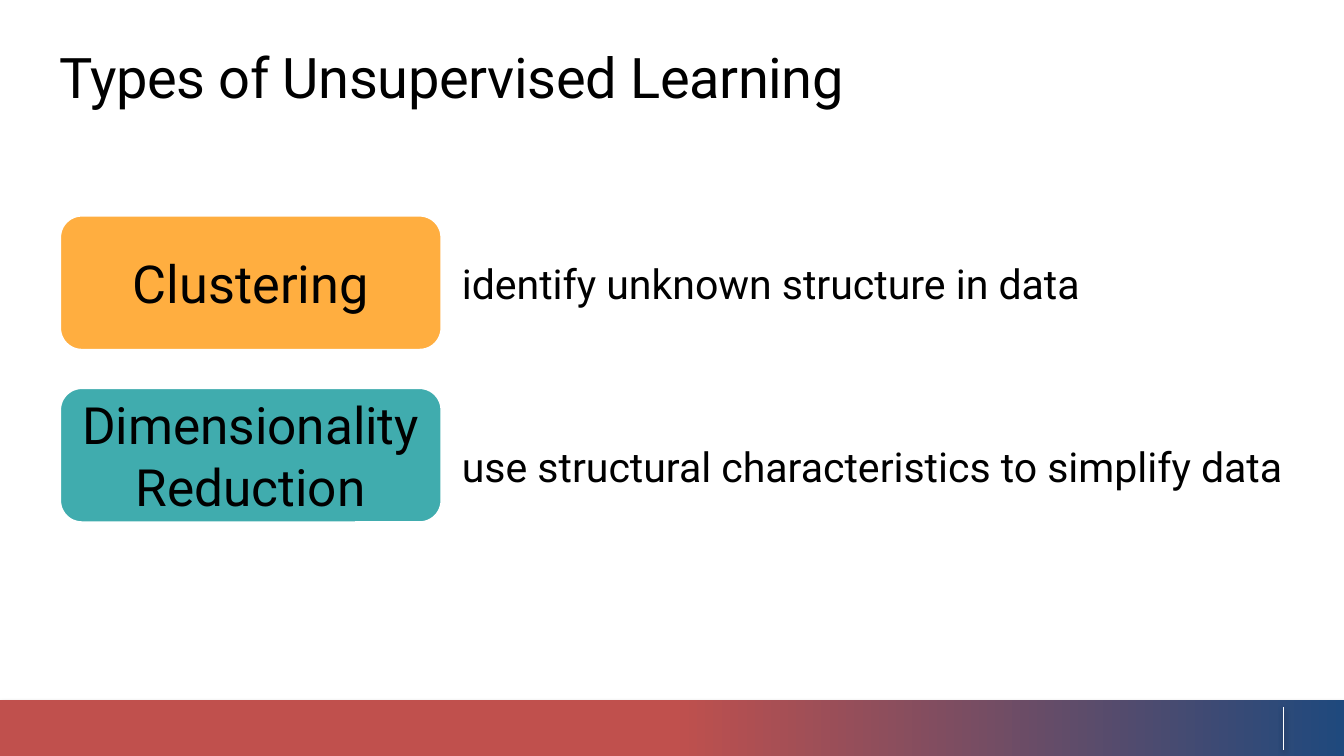
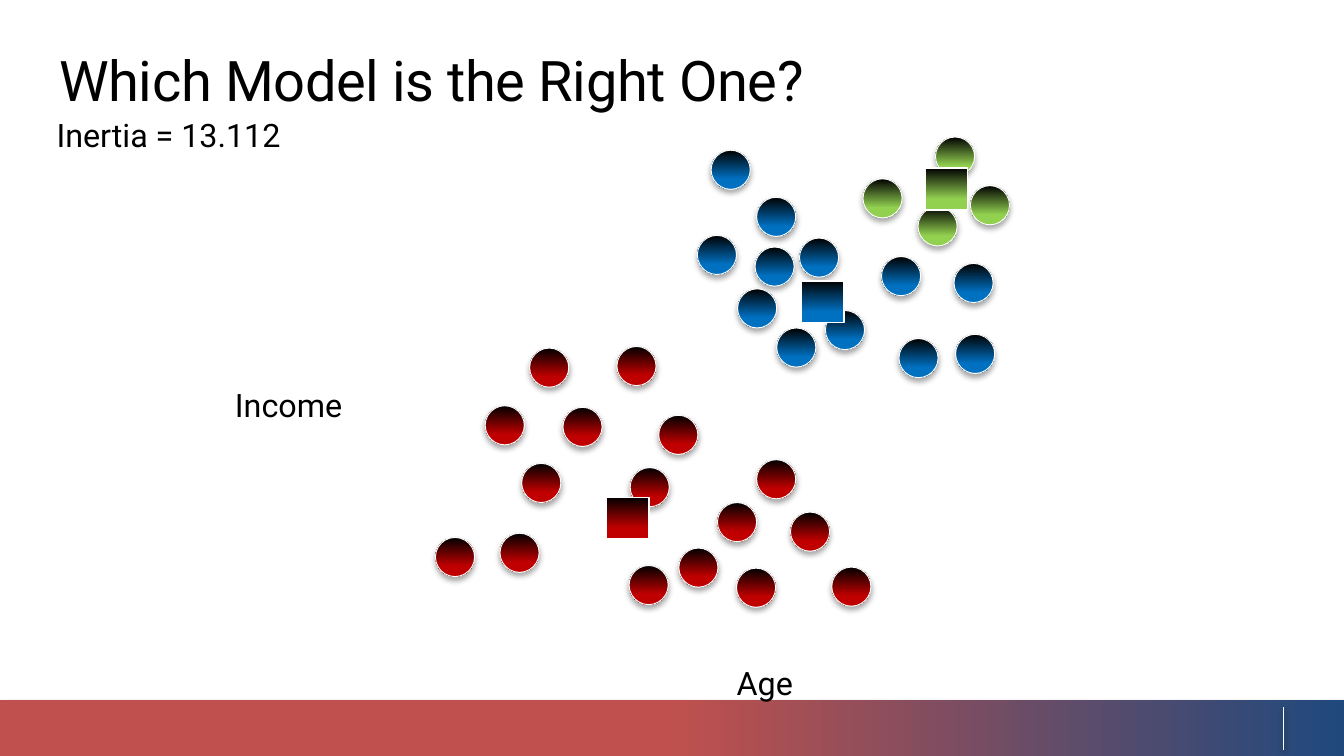
from lxml import etree
from pptx import Presentation
from pptx.dml.color import RGBColor
from pptx.enum.shapes import MSO_CONNECTOR, MSO_SHAPE
from pptx.enum.text import MSO_ANCHOR, PP_ALIGN
from pptx.oxml.ns import qn
from pptx.util import Cm, Pt

WHITE = RGBColor(0xFF, 0xFF, 0xFF)
BLACK = RGBColor(0x00, 0x00, 0x00)
NAVY = RGBColor(0x1F, 0x49, 0x7D)
BRICK = RGBColor(0xC0, 0x50, 0x4D)
ORANGE = RGBColor(0xFF, 0x93, 0x00)
TEAL = RGBColor(0x00, 0x91, 0x93)
BLUE = RGBColor(0x00, 0x70, 0xC0)
GREEN = RGBColor(0x92, 0xD0, 0x50)
RED = RGBColor(0xC0, 0x00, 0x00)

RECT = MSO_SHAPE.RECTANGLE
ROUND = MSO_SHAPE.ROUNDED_RECTANGLE
OVAL = MSO_SHAPE.OVAL
STRAIGHT = MSO_CONNECTOR.STRAIGHT
LEFT, CENTER = PP_ALIGN.LEFT, PP_ALIGN.CENTER
TOP, MIDDLE = MSO_ANCHOR.TOP, MSO_ANCHOR.MIDDLE

FONT = "Roboto"
WIDTH, HEIGHT = 25.4, 14.29
MARGIN = 1.12
BAND = 13.23
DOT = 0.74

CARDS = [
    ("Clustering", ORANGE, 28, "identify unknown structure in data", 0.23),
    ("Dimensionality Reduction", TEAL, 27.5,
     "use structural characteristics to simplify data", 0.43),
]

GROUPS = [
    (BLUE, (15.14, 5.31), [
        (13.44, 2.84), (13.18, 4.45), (14.3, 3.73), (14.27, 4.67),
        (13.94, 5.46), (15.11, 4.5), (15.6, 5.87), (14.68, 6.2),
        (16.99, 6.4), (18.06, 6.32), (18.03, 4.98), (16.66, 4.85)]),
    (GREEN, (17.48, 3.18), [
        (17.35, 3.91), (18.34, 3.51), (17.68, 2.59), (16.31, 3.38)]),
    (RED, (11.46, 9.4), [
        (8.23, 10.16), (9.17, 7.67), (10.01, 6.58), (10.64, 7.7),
        (11.66, 6.55), (12.45, 7.85), (11.91, 8.84), (9.86, 8.76),
        (9.45, 10.08), (11.89, 10.69), (12.83, 10.36), (13.56, 9.5),
        (14.3, 8.69), (14.94, 9.68), (13.92, 10.74), (15.72, 10.72)]),
]


def write(shape, text, size=17.3, align=LEFT, anchor=TOP, pad=True,
          spacing=None, track=None):
    """Fill a shape with one formatted paragraph."""
    frame = shape.text_frame
    frame.word_wrap = True
    frame.vertical_anchor = anchor
    if not pad:
        frame.margin_left = frame.margin_right = 0
        frame.margin_top = frame.margin_bottom = 0
    line = frame.paragraphs[0]
    line.alignment = align
    if spacing:
        line.line_spacing = spacing
    run = line.add_run()
    run.text = text
    run.font.name = FONT
    run.font.size = Pt(size)
    run.font.color.rgb = BLACK
    if track:
        run.font._element.set("spc", str(int(track * 100)))


def shade(effects, alpha):
    """Put a soft shadow straight below into an effect list."""
    shadow = etree.SubElement(
        effects, qn("a:outerShdw"), blurRad=str(Pt(3.1)), dist=str(Pt(1.8)),
        dir="5400000", rotWithShape="0")
    color = etree.SubElement(shadow, qn("a:srgbClr"), val=str(BLACK))
    etree.SubElement(color, qn("a:alpha"), val=str(alpha * 1000))


class Deck:
    """Hold the shared style and the current slide."""

    def __init__(self):
        self.show = Presentation()
        self.show.slide_width = Cm(WIDTH)
        self.show.slide_height = Cm(HEIGHT)
        self.slide = None

    def start(self, title, top):
        """Open a slide with its footer band and title."""
        self.slide = self.show.slides.add_slide(self.show.slide_layouts[6])
        self.blend(RECT, (0, BAND, WIDTH, HEIGHT - BAND),
                   (NAVY, 0), (BRICK, 0.5), 180)
        self.line((24.26, 13.36), (24.26, 14.17), 0.75, shadow=38)
        self.label(title, (MARGIN, top, 23.44, 1.27),
                   size=30, pad=False, track=-0.2)

    def shape(self, kind, box, edge=0):
        """Add a flat shape with a white edge or none."""
        item = self.slide.shapes.add_shape(kind, *map(Cm, box))
        item.shadow.inherit = False
        if edge:
            item.line.color.rgb = WHITE
            item.line.width = Pt(edge)
        else:
            item.line.fill.background()
        return item

    def blend(self, kind, box, first, last, angle, edge=0, shadow=True):
        """Add a shape with a gradient between two stops."""
        item = self.shape(kind, box, edge)
        item.fill.gradient()
        item.fill.gradient_angle = angle
        for stop, (color, place) in zip(item.fill.gradient_stops, (first, last)):
            stop.color.rgb = color
            stop.position = place
        if shadow:
            shade(item.element.spPr.find(qn("a:effectLst")), 35)

    def card(self, text, box, color, size):
        """Add a see-through rounded card."""
        item = self.shape(ROUND, box, 2)
        item.fill.solid()
        item.fill.fore_color.rgb = color
        tint = item.element.spPr.find(qn("a:solidFill"))[0]
        etree.SubElement(tint, qn("a:alpha"), val="75000")
        write(item, text, size=size, align=CENTER, anchor=MIDDLE)

    def label(self, text, box, **style):
        """Add a text box."""
        write(self.slide.shapes.add_textbox(*map(Cm, box)), text, **style)

    def line(self, start, end, width, shadow=0, arrow=False):
        """Add a white line, with an arrowhead or a shadow if asked."""
        item = self.slide.shapes.add_connector(
            STRAIGHT, *map(Cm, start + end))
        item.line.color.rgb = WHITE
        item.line.width = Pt(width)
        if arrow:
            etree.SubElement(item.line._get_or_add_ln(), qn("a:tailEnd"),
                             type="triangle")
        effects = etree.SubElement(item.element.spPr, qn("a:effectLst"))
        if shadow:
            shade(effects, shadow)

    def group(self, color, center, dots):
        """Add the dots of a cluster and its square center."""
        stops = (BLACK, 0), (color, 0.74), 270
        for dot in dots:
            self.blend(OVAL, (*dot, DOT, DOT), *stops, edge=0.5)
        self.blend(RECT, (*center, 0.81, 0.79), *stops,
                   edge=0.75, shadow=False)


def types(deck):
    """Build the slide on types of learning."""
    deck.start("Types of Unsupervised Learning", 0.81)
    for row, (name, color, size, text, drop) in enumerate(CARDS):
        top = 4.06 + row * 3.26
        deck.card(name, (MARGIN, top, 7.24, 2.57), color, size)
        deck.label(text, (8.48, top + drop, 16.05, 1.65), size=22, spacing=1.5)


def model(deck):
    """Build the slide with the cluster plot."""
    deck.start("Which Model is the Right One?", 0.86)
    deck.label("Inertia = 13.112", (1.07, 2.18, 12.88, 0.74), pad=False)
    axis = dict(align=CENTER, pad=False, spacing=Pt(28.5))
    deck.label("Age", (9.86, 12.27, 9.19, 0.99), **axis)
    deck.label("Income", (4.11, 7.01, 2.69, 0.99), **axis)
    deck.line((8.05, 11.81), (8.05, 3.51), 2, arrow=True)
    deck.line((8.03, 11.79), (20.85, 11.76), 2, arrow=True)
    for color, center, dots in GROUPS:
        deck.group(color, center, dots)


def main():
    """Build and save the deck."""
    deck = Deck()
    types(deck)
    model(deck)
    deck.show.save("out.pptx")


if __name__ == "__main__":
    main()
